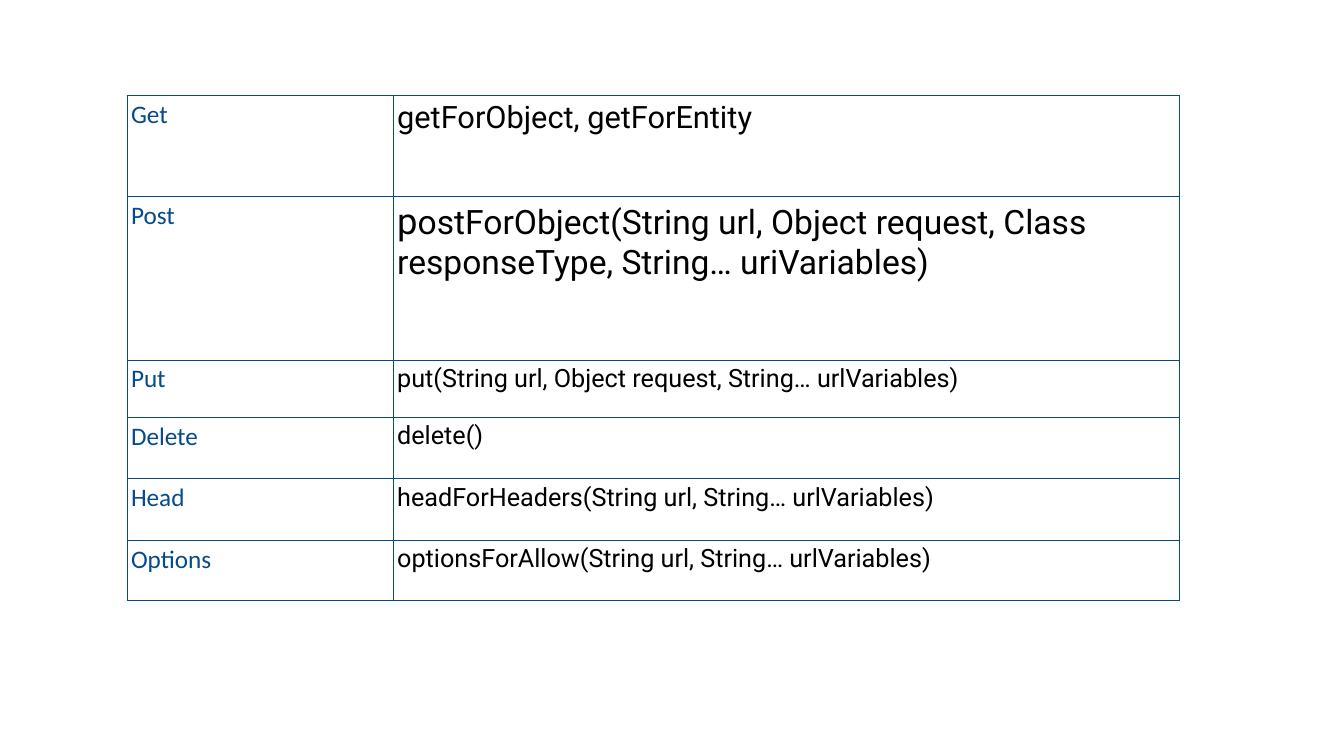
from dataclasses import dataclass

from lxml import etree
from pptx import Presentation
from pptx.dml.color import RGBColor
from pptx.oxml.ns import qn
from pptx.util import Inches, Pt


@dataclass(frozen=True)
class Theme:
    blue: str = "06498C"
    black: str = "000000"
    label_font: str = "Calibri"
    code_font: str = "Roboto"
    body_size: int = 18
    get_size: int = 22
    post_size: int = 24
    post_initial_size: int = 26
    border_width: float = 0.5
    cell_margin: float = 0.04


THEME = Theme()
BLANK_LAYOUT = 6
BORDER_SIDES = ("lnL", "lnR", "lnT", "lnB")
COLUMN_WIDTHS = (2.64, 7.8)

METHOD_ROWS = (
    ("Get", 1.0, [("getForObject, getForEntity", THEME.get_size)]),
    ("Post", 1.62, [
        ("p", THEME.post_initial_size),
        ("ostForObject(String url, Object request, Class responseType, "
         "String… uriVariables)", THEME.post_size),
    ]),
    ("Put", 0.57, [("put(String url, Object request, String… urlVariables)",
                    THEME.body_size)]),
    ("Delete", 0.61, [("delete()", THEME.body_size)]),
    ("Head", 0.61, [("headForHeaders(String url, String… urlVariables)",
                     THEME.body_size)]),
    ("Options", 0.6, [("optionsForAllow(String url, String… urlVariables)",
                       THEME.body_size)]),
)


def set_attributes(target, values):
    for name, value in values.items():
        setattr(target, name, value)


def add_borders(cell):
    properties = cell._tc.get_or_add_tcPr()
    for side in BORDER_SIDES:
        line = etree.SubElement(properties, qn(f"a:{side}"),
                                w=str(Pt(THEME.border_width)))
        fill = etree.SubElement(line, qn("a:solidFill"))
        etree.SubElement(fill, qn("a:srgbClr"), val=THEME.blue)


def fill_cell(cell, runs, font_name, color):
    margin = Inches(THEME.cell_margin)
    set_attributes(cell, {
        "margin_left": margin, "margin_right": margin,
        "margin_top": margin, "margin_bottom": margin,
    })
    add_borders(cell)
    cell.fill.background()
    paragraph = cell.text_frame.paragraphs[0]
    for text, size in runs:
        run = paragraph.add_run()
        run.text = text
        set_attributes(run.font, {"name": font_name, "size": Pt(size)})
        run.font.color.rgb = RGBColor.from_string(color)


def add_method_table(slide):
    height = sum(row_height for _, row_height, _ in METHOD_ROWS)
    table = slide.shapes.add_table(
        len(METHOD_ROWS), len(COLUMN_WIDTHS), Inches(1.26), Inches(0.95),
        Inches(sum(COLUMN_WIDTHS)), Inches(height)).table
    set_attributes(table, {"first_row": False, "horz_banding": False})
    for column, width in zip(table.columns, COLUMN_WIDTHS):
        column.width = Inches(width)
    for row, (label, row_height, code_runs) in zip(table.rows, METHOD_ROWS):
        row.height = Inches(row_height)
        label_cell, code_cell = row.cells
        fill_cell(label_cell, [(label, THEME.body_size)],
                  THEME.label_font, THEME.blue)
        fill_cell(code_cell, code_runs, THEME.code_font, THEME.black)


def main():
    presentation = Presentation()
    set_attributes(presentation, {"slide_width": Inches(13.33),
                                  "slide_height": Inches(7.5)})
    slide = presentation.slides.add_slide(
        presentation.slide_layouts[BLANK_LAYOUT])
    add_method_table(slide)
    presentation.save("out.pptx")


main()
